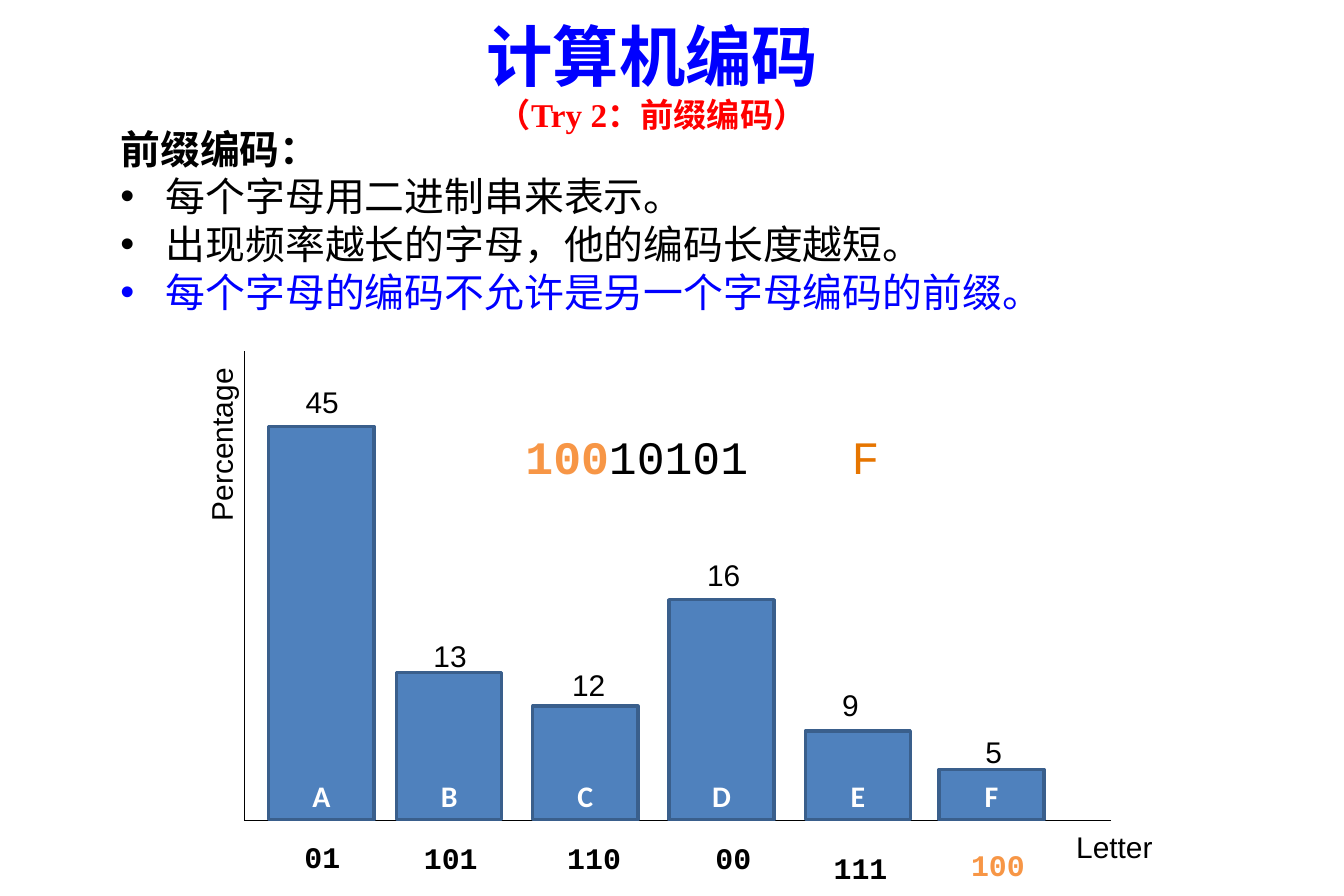
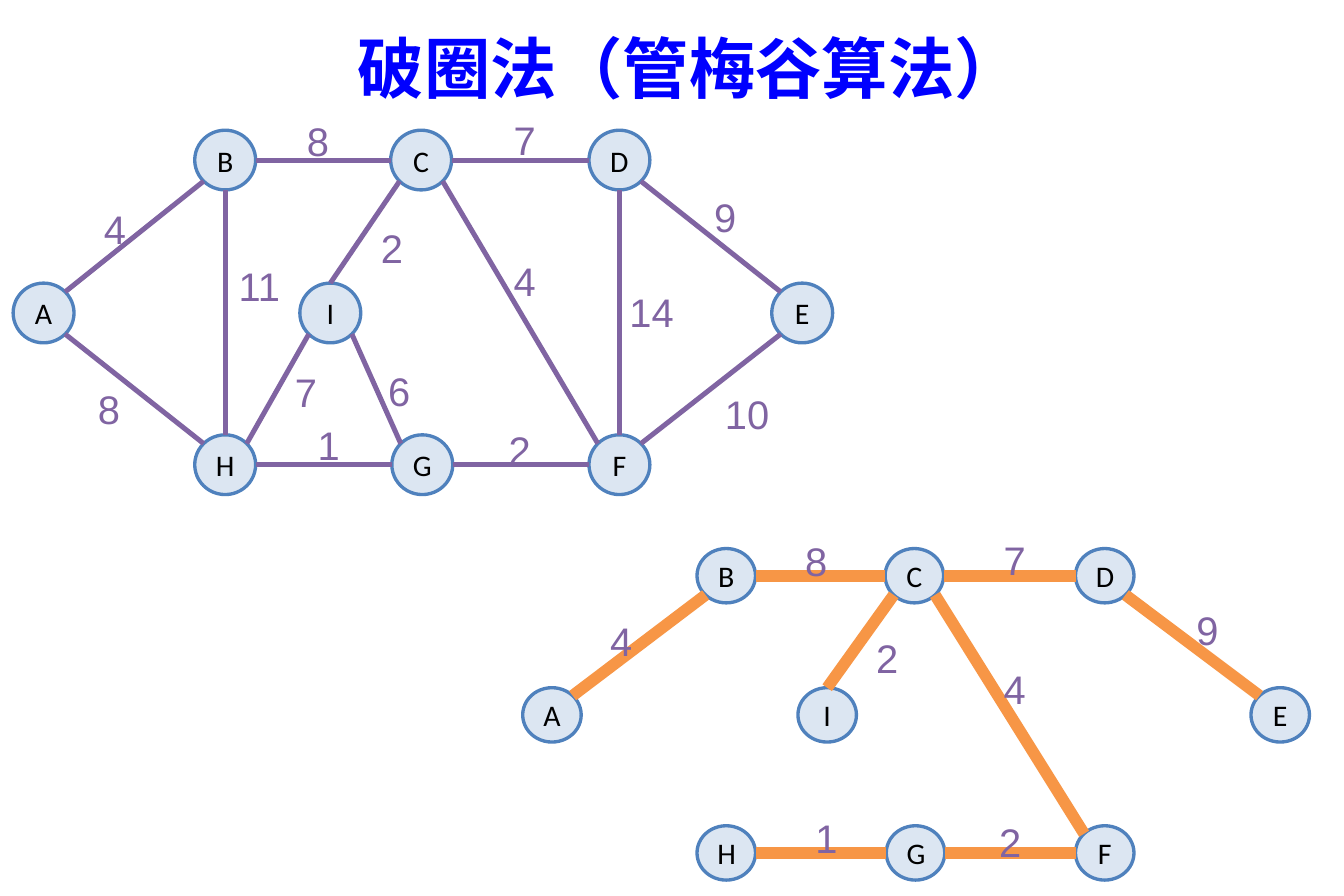
import collections
import math
import lxml.etree
import pptx
import pptx.dml.color
import pptx.enum.shapes
import pptx.enum.text
import pptx.oxml.ns
import pptx.util

Inches = pptx.util.Inches
Pt = pptx.util.Pt
RGB = pptx.dml.color.RGBColor
SHAPE = pptx.enum.shapes.MSO_SHAPE
ANCHOR = pptx.enum.text.MSO_ANCHOR
ALIGN = pptx.enum.text.PP_ALIGN
qn = pptx.oxml.ns.qn

BLACK = RGB(0x00, 0x00, 0x00)
WHITE = RGB(0xFF, 0xFF, 0xFF)
BLUE = RGB(0x00, 0x00, 0xFF)
RED = RGB(0xFF, 0x00, 0x00)
BAR_FILL = RGB(0x4F, 0x81, 0xBD)
BAR_EDGE = RGB(0x3A, 0x5F, 0x8C)
NODE_FILL = RGB(0xDC, 0xE6, 0xF2)
PURPLE = RGB(0x80, 0x64, 0xA2)
ORANGE = RGB(0xF7, 0x96, 0x46)
DARK_ORANGE = RGB(0xE6, 0x75, 0x00)

SANS = "Arial"
BODY = "Calibri"
MONO = "Courier New"
SERIF = "Times New Roman"

Run = collections.namedtuple(
    "Run", "text size font color bold", defaults=(18, SANS, BLACK, False))

BARS = [
    ("A", 2.25, 3.57, "45", (2.46, 3.16), "01", (2.45, 6.97)),
    ("B", 3.32, 5.63, "13", (3.53, 5.29), "101", (3.45, 6.98)),
    ("C", 4.46, 5.91, "12", (4.69, 5.53), "110", (4.65, 6.98)),
    ("D", 5.6, 5.02, "16", (5.82, 4.61), "00", (5.89, 6.98)),
    ("E", 6.74, 6.12, "9", (6.95, 5.7), "111", (6.88, 7.06)),
    ("F", 7.86, 6.44, "5", (8.15, 6.09), "100", (8.03, 7.04)),
]

TOP_ROW, MIDDLE_ROW, BOTTOM_ROW = 1.09, 2.37, 3.64
NODES = {
    "A": (0.11, MIDDLE_ROW), "B": (1.63, TOP_ROW), "C": (3.27, TOP_ROW),
    "D": (4.93, TOP_ROW), "E": (6.46, MIDDLE_ROW), "F": (4.93, BOTTOM_ROW),
    "G": (3.28, BOTTOM_ROW), "H": (1.63, BOTTOM_ROW), "I": (2.51, MIDDLE_ROW),
}
NODE_SIZE = (0.51, 0.5)
LABEL_SIZE = (0.71, 0.41)

(TOP, TOP_LEFT, LEFT, BOTTOM_LEFT,
 BOTTOM, BOTTOM_RIGHT, RIGHT, TOP_RIGHT) = range(8)

EDGES = {
    "AB": (TOP_RIGHT, BOTTOM_LEFT, "4", (0.77, 1.66)),
    "BC": (RIGHT, LEFT, "8", (2.47, 0.93)),
    "CD": (RIGHT, LEFT, "7", (4.2, 0.92)),
    "DE": (BOTTOM_RIGHT, TOP_LEFT, "9", (5.88, 1.56)),
    "CI": (BOTTOM_LEFT, TOP, "2", (3.09, 1.82)),
    "CF": (BOTTOM_RIGHT, TOP_LEFT, "4", (4.2, 2.1)),
    "HG": (RIGHT, LEFT, "1", (2.56, 3.47)),
    "GF": (RIGHT, LEFT, "2", (4.16, 3.51)),
    "AH": (BOTTOM_RIGHT, TOP_LEFT, "8", (0.72, 3.17)),
    "BH": (BOTTOM, TOP, "11", (1.9, 2.14)),
    "IH": (BOTTOM_LEFT, TOP_RIGHT, "7", (2.37, 3.03)),
    "IG": (BOTTOM_RIGHT, TOP_LEFT, "6", (3.15, 3.02)),
    "DF": (BOTTOM, TOP, "14", (5.17, 2.36)),
    "EF": (BOTTOM_LEFT, TOP_RIGHT, "10", (5.97, 3.21)),
}
TREE = ["AB", "BC", "CD", "DE", "CI", "CF", "HG", "GF"]


class Deck:
    def __init__(self):
        self.presentation = pptx.Presentation()
        self.presentation.slide_width = Inches(11.25)
        self.presentation.slide_height = Inches(7.5)
        self.shapes = None

    def new_slide(self):
        blank = self.presentation.slide_layouts[6]
        self.shapes = self.presentation.slides.add_slide(blank).shapes

    def set_lines(self, frame, lines, align=ALIGN.LEFT, anchor=ANCHOR.TOP,
                  bulleted_from=None):
        frame.word_wrap = True
        frame.vertical_anchor = anchor
        for index, runs in enumerate(lines):
            line = frame.add_paragraph() if index else frame.paragraphs[0]
            line.alignment = align
            if bulleted_from is not None and index >= bulleted_from:
                self.bullet(line)
            for part in runs:
                run = line.add_run()
                run.text = part.text
                run.font.size = Pt(part.size)
                run.font.name = part.font
                run.font.bold = part.bold
                run.font.color.rgb = part.color

    def bullet(self, line):
        settings = line._p.get_or_add_pPr()
        settings.set("marL", str(Inches(0.38)))
        settings.set("indent", str(-Inches(0.38)))
        lxml.etree.SubElement(settings, qn("a:buFont")).set("typeface", SANS)
        lxml.etree.SubElement(settings, qn("a:buChar")).set("char", "•")

    def text(self, place, size, *lines, **layout):
        box = self.shapes.add_textbox(*map(Inches, place + size))
        self.set_lines(box.text_frame, lines, **layout)
        return box

    def title(self, place, *lines, anchor=ANCHOR.TOP):
        self.text(place, (10.12, 1.25), *lines,
                  align=ALIGN.CENTER, anchor=anchor)

    def shape(self, kind, place, size, fill, edge, caption, anchor):
        shape = self.shapes.add_shape(kind, *map(Inches, place + size))
        shape.shadow.inherit = False
        shape.fill.solid()
        shape.fill.fore_color.rgb = fill
        shape.line.color.rgb = edge
        shape.line.width = Pt(2)
        self.set_lines(shape.text_frame, [[caption]], ALIGN.CENTER, anchor)
        return shape

    def line(self, start, end, color, width):
        line = self.shapes.add_connector(
            pptx.enum.shapes.MSO_CONNECTOR.STRAIGHT, *map(Inches, start + end))
        line.line.color.rgb = color
        line.line.width = Pt(width)
        lxml.etree.SubElement(line._element.spPr, qn("a:effectLst"))
        return line

    def glue(self, line, *ends):
        links = line._element.find(".//" + qn("p:cNvCxnSpPr"))
        for tag, (shape, site) in zip(("a:stCxn", "a:endCxn"), ends):
            link = lxml.etree.SubElement(links, qn(tag))
            link.set("id", str(shape.shape_id))
            link.set("idx", str(site))

    def graph(self, edges, color, width, origin=(0, 0), scale=(1, 1)):
        def placed(point):
            return tuple(o + s * p for o, s, p in zip(origin, scale, point))

        def site_point(name, site):
            angle = math.radians(90 + 45 * site)
            (x, y), (w, h) = NODES[name], NODE_SIZE
            return placed((x + w / 2 * (1 + math.cos(angle)),
                           y + h / 2 * (1 - math.sin(angle))))

        slide_shapes = self.shapes
        self.shapes = slide_shapes.add_group_shape().shapes
        node_size = tuple(s * n for s, n in zip(scale, NODE_SIZE))
        label_size = tuple(s * n for s, n in zip(scale, LABEL_SIZE))
        nodes = {
            name: self.shape(SHAPE.OVAL, placed(place), node_size, NODE_FILL,
                             BAR_FILL, Run(name, font=BODY), ANCHOR.MIDDLE)
            for name, place in NODES.items()}
        for edge in edges:
            start, end = edge
            leave, arrive = EDGES[edge][:2]
            line = self.line(site_point(start, leave),
                             site_point(end, arrive), color, width)
            self.glue(line, (nodes[start], leave), (nodes[end], arrive))
        for edge in edges:
            weight, place = EDGES[edge][2:]
            self.text(placed(place), label_size,
                      [Run(weight, 24, color=PURPLE)])
        self.shapes = slide_shapes


def prefix_code_slide(deck):
    deck.new_slide()
    baseline, corner = 6.86, (2.05, 6.87)
    deck.line((2.05, 2.94), corner, BLACK, 0.75)
    deck.line((9.3, 6.87), corner, BLACK, 0.75)
    for letter, left, top, *_ in BARS:
        deck.shape(SHAPE.RECTANGLE, (left, top), (0.88, baseline - top),
                   BAR_FILL, BAR_EDGE, Run(letter, 18, BODY, WHITE, True),
                   ANCHOR.BOTTOM)
    deck.text((0.96, 3.37), (1.78, 0.4), [Run("Percentage")]).rotation = 270
    deck.text((8.91, 6.89), (1.09, 0.4), [Run("Letter")])
    for letter, _, _, share, share_place, code, code_place in BARS:
        deck.text(share_place, (0.76, 0.4), [Run(share)])
        color = ORANGE if letter == "F" else BLACK
        code_box = deck.text(code_place, (0.22 + 0.15 * len(code), 0.4),
                             [Run(code, 18, MONO, color, True)])
        code_box.fill.solid()
        code_box.fill.fore_color.rgb = WHITE
    deck.text((4.3, 3.53), (3.22, 0.57),
              [Run("100", 28, MONO, ORANGE, True), Run("10101", 28, MONO)])
    deck.text((7.03, 3.53), (0.82, 0.57), [Run("F", 28, MONO, DARK_ORANGE)])
    deck.title((0.4, 0),
               [Run("计算机编码", 40, SERIF, BLUE, True)],
               [Run("（Try 2：前缀编码）", 20, SERIF, RED, True)],
               anchor=ANCHOR.MIDDLE)
    deck.text((0.91, 0.99), (8.67, 1.72),
              [Run("前缀编码：", 24, SERIF, BLACK, True)],
              [Run("每个字母用二进制串来表示。", 24, SERIF)],
              [Run("出现频率越长的字母，他的编码长度越短。", 24, SERIF)],
              [Run("每个字母的编码不允许是另一个字母编码的前缀。", 24, SERIF, BLUE)],
              bulleted_from=1)


def cycle_breaking_slide(deck):
    deck.new_slide()
    deck.title((0.71, 0.18), [Run("破圈法（管梅谷算法）", 40, SERIF, BLUE, True)])
    deck.graph(EDGES, PURPLE, 3)
    deck.graph(TREE, ORANGE, 7, origin=(4.27, 3.6), scale=(0.96, 0.91))


def main():
    deck = Deck()
    prefix_code_slide(deck)
    cycle_breaking_slide(deck)
    deck.presentation.save("out.pptx")


if __name__ == "__main__":
    main()
